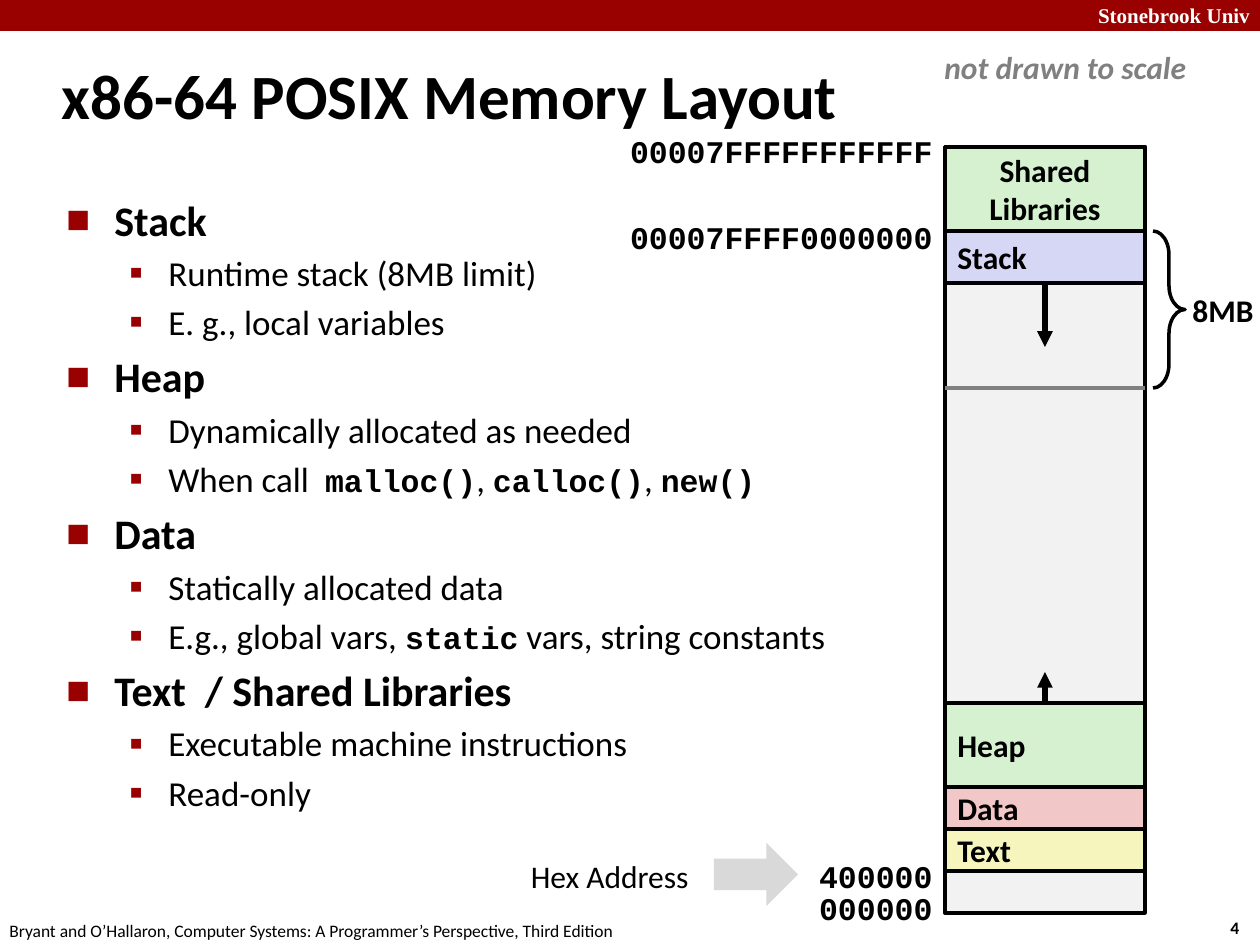
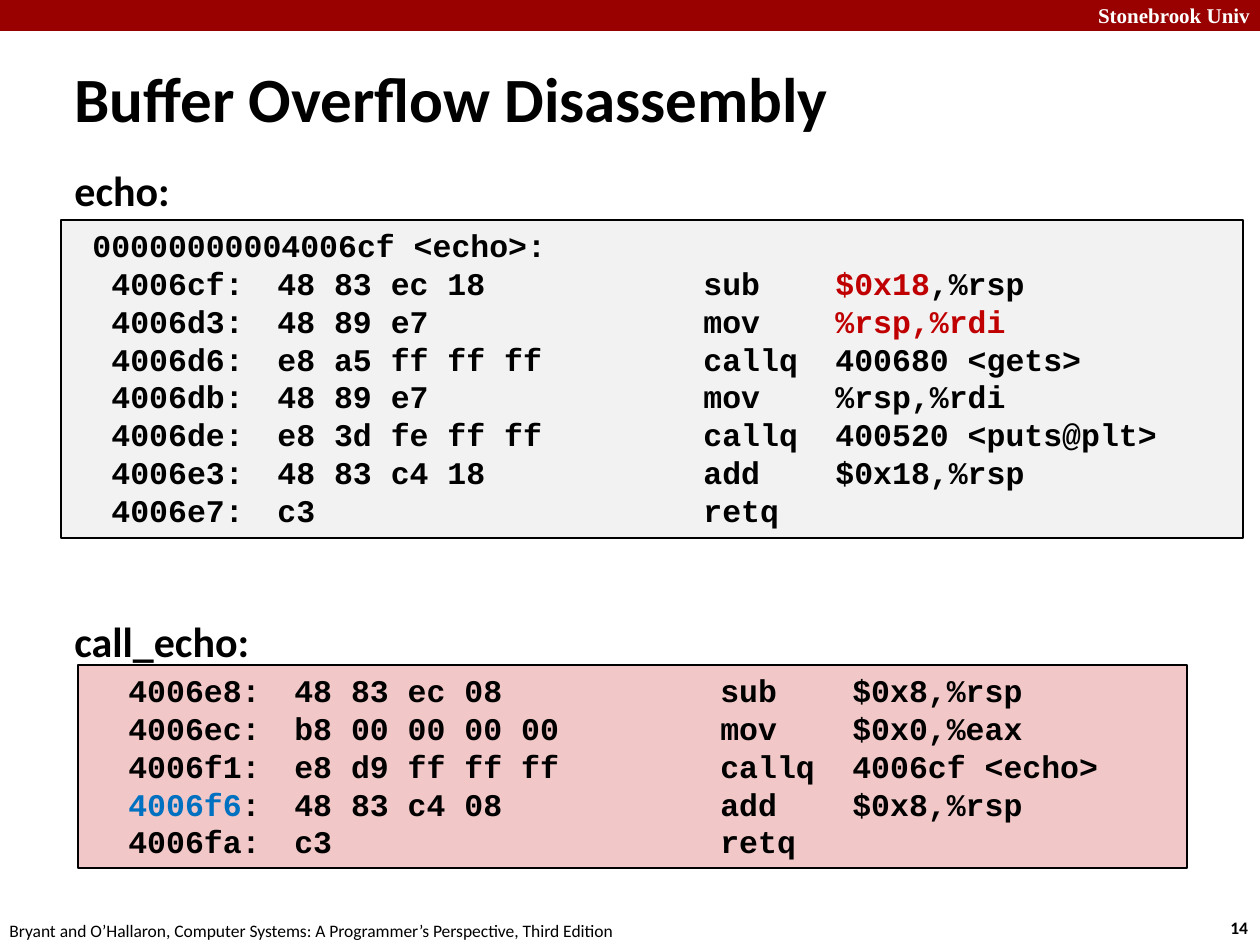
from pptx import Presentation
from pptx.dml.color import RGBColor
from pptx.enum.shapes import MSO_CONNECTOR, MSO_SHAPE as Shape
from pptx.enum.text import MSO_ANCHOR as Anchor, PP_ALIGN as Align
from pptx.oxml import parse_xml
from pptx.oxml.ns import nsdecls, qn
from pptx.util import Pt

PX = 914400 // 126
COLORS = {
    "ink": "000000", "paper": "FFFFFF", "band": "990000", "gray": "808080",
    "arrow": "D9D9D9", "free": "F2F2F2", "green": "D5F1CF", "violet": "D6D6F5",
    "pink": "F1C7C7", "yellow": "F6F5BD", "red": "C00000", "blue": "0070C0",
}
TITLE = {"name": "Calibri", "size": Pt(36), "bold": True}
HEADING = {"name": "Calibri", "size": Pt(24), "bold": True}
DETAIL = {"name": "Calibri", "size": Pt(20), "bold": False}
LABEL = {"name": "Calibri", "size": Pt(18), "bold": True}
PLAIN = LABEL | {"bold": False}
CODE = {"name": "Courier New", "size": Pt(18), "bold": True}
FOOTER = {"name": "Calibri", "size": Pt(10), "bold": False}
BRAND = {"name": "Times New Roman", "size": Pt(12), "bold": True, "color": "paper"}
NOTE = LABEL | {"italic": True, "color": "gray"}


def add_block(page, kind, at, fill=None, line=None, weight=2):
    """Add a preset shape, or a text box when kind is None."""
    place = [length * PX for length in at]
    if kind is None:
        box = page.shapes.add_textbox(*place)
        box.text_frame.word_wrap = False
        return box
    box = page.shapes.add_shape(kind, *place)
    box.shadow.inherit = False
    if fill:
        box.fill.solid()
        box.fill.fore_color.rgb = RGBColor.from_string(COLORS[fill])
    else:
        box.fill.background()
    if line:
        box.line.color.rgb = RGBColor.from_string(COLORS[line])
        box.line.width = Pt(weight)
    else:
        box.line.fill.background()
    return box


def write(para, text, style, marked=None, align=Align.LEFT):
    """Write text in a style; pieces between backticks also take the marked style."""
    para.alignment = align
    for index, piece in enumerate(text.split("`")):
        if not piece:
            continue
        span = para.add_run()
        span.text = piece
        look = {"color": "ink"} | style | (marked if index % 2 else {})
        span.font.color.rgb = RGBColor.from_string(COLORS[look.pop("color")])
        for name, value in look.items():
            setattr(span.font, name, value)


deck = Presentation()
deck.slide_width, deck.slide_height = 1260 * PX, 945 * PX
layout = deck.slide_layouts[5]
pages = []
for title, at, number in [
    ("x86-64 POSIX Memory Layout", (49, 42, 1046, 105), "4"),
    ("Buffer Overflow Disassembly", (62, 58, 978, 79), "14"),
]:
    page = deck.slides.add_slide(layout)
    heading = page.shapes.title
    heading.left, heading.top, heading.width, heading.height = [n * PX for n in at]
    heading.text_frame.vertical_anchor = Anchor.MIDDLE
    write(heading.text_frame.paragraphs[0], title, TITLE)
    box = add_block(page, None, (1218, 911, 47, 34))
    write(box.text_frame.paragraphs[0], number, FOOTER | {"bold": True})
    pages.append(page)
memory, listing = pages

# Band and footer belong to the layout, so both slides show them
band = add_block(memory, Shape.RECTANGLE, (0, 0, 1260, 31), "band")
school = add_block(memory, None, (1080, -4, 180, 38))
school.text_frame.margin_right = 10 * PX
write(school.text_frame.paragraphs[0], "Stonebrook Univ", BRAND, align=Align.RIGHT)
source = add_block(memory, None, (-3, 914, 640, 34))
write(source.text_frame.paragraphs[0],
      "Bryant and O’Hallaron, Computer Systems: A Programmer’s Perspective, Third Edition",
      FOOTER)
for part in (band, school, source):
    layout.shapes.element.append(part.element)

# Memory regions explained
regions = [
    ("Stack", "Runtime stack (8MB limit)", "E. g., local variables"),
    ("Heap", "Dynamically allocated as needed",
     "When call  `malloc()`, `calloc()`, `new()`"),
    ("Data", "Statically allocated data",
     "E.g., global vars, `static` vars, string constants"),
    ("Text  / Shared Libraries", "Executable machine instructions", "Read-only"),
]
bullets = [
    {"style": HEADING, "margin": 48, "hang": 48, "size": 60, "mark": "■"},
    {"style": DETAIL, "margin": 102, "hang": 39, "size": 110, "mark": "▪"},
]
frame = add_block(memory, None, (54, 188, 1089, 685)).text_frame
frame.word_wrap = True
para = frame.paragraphs[0]
for region in regions:
    for row, text in enumerate(region):
        if para.runs:
            para = frame.add_paragraph()
        level = min(row, 1)
        bullet = bullets[level]
        write(para, text, bullet["style"], CODE)
        para.level = level
        props = para._p.get_or_add_pPr()
        props.set("marL", str(bullet["margin"] * PX))
        props.set("indent", str(-bullet["hang"] * PX))
        for xml in (
            '<a:spcBef {}><a:spcPct val="20000"/></a:spcBef>',
            f'<a:buClr {{}}><a:srgbClr val="{COLORS["band"]}"/></a:buClr>',
            f'<a:buSzPct {{}} val="{bullet["size"] * 1000}"/>',
            '<a:buFont {} typeface="Calibri"/>',
            f'<a:buChar {{}} char="{bullet["mark"]}"/>',
        ):
            props.append(parse_xml(xml.format(nsdecls("a"))))

# Memory column
left, width = 945, 200
middle = left + width // 2
for text, top, height, fill, align in [
    ("", 147, 766, "free", Align.LEFT),
    ("Stack", 231, 52, "violet", Align.LEFT),
    ("Text", 829, 42, "yellow", Align.LEFT),
    ("Data", 787, 42, "pink", Align.LEFT),
    ("Heap", 703, 84, "green", Align.LEFT),
    ("Shared\nLibraries", 147, 84, "green", Align.CENTER),
]:
    box = add_block(memory, Shape.RECTANGLE, (left, top, width, height), fill, "ink")
    frame = box.text_frame
    frame.vertical_anchor = Anchor.MIDDLE
    for index, line in enumerate(text.splitlines()):
        para = frame.add_paragraph() if index else frame.paragraphs[0]
        write(para, line, LABEL, align=align)

for start, end, color, weight, arrow in [
    ((middle, 283), (middle, 347), "ink", 3, True),
    ((middle, 703), (middle, 672), "ink", 3, True),
    ((left, 388), (left + width, 388), "gray", 2, False),
]:
    line = memory.shapes.add_connector(
        MSO_CONNECTOR.STRAIGHT, *[n * PX for n in start + end])
    line.line.color.rgb = RGBColor.from_string(COLORS[color])
    line.line.width = Pt(weight)
    props = line.element.spPr
    if arrow:
        props.find(qn("a:ln")).append(
            parse_xml(f'<a:tailEnd {nsdecls("a")} type="triangle"/>'))
    props.append(parse_xml(f'<a:effectLst {nsdecls("a")}/>'))

add_block(memory, Shape.RIGHT_ARROW, (714, 843, 84, 63), "arrow")
brace = add_block(memory, Shape.RIGHT_BRACE, (1153, 231, 32, 157), line="ink")
brace.adjustments[0], brace.adjustments[1] = 0.75, 0.5

for page, text, at, style, align in [
    (memory, "Hex Address", (407, 851, 294, 50), PLAIN, Align.RIGHT),
    (memory, "00007FFFFFFFFFFF", (614, 126, 331, 50), CODE, Align.RIGHT),
    (memory, "00007FFFF0000000", (614, 212, 331, 50), CODE, Align.RIGHT),
    (memory, "400000", (805, 851, 140, 50), CODE, Align.RIGHT),
    (memory, "000000", (805, 883, 140, 50), CODE, Align.RIGHT),
    (memory, "8MB", (1180, 285, 87, 50), LABEL, Align.LEFT),
    (memory, "not drawn to scale", (932, 42, 268, 50), NOTE, Align.LEFT),
    (listing, "echo:", (62, 158, 122, 63), HEADING, Align.LEFT),
    (listing, "call_echo:", (62, 609, 203, 63), HEADING, Align.LEFT),
]:
    box = add_block(page, None, at)
    write(box.text_frame.paragraphs[0], text, style, align=align)

# Disassembly: the columns are header, address, bytes, operation, operands
columns = [19, 38, 204, 630, 762]
stops = "".join(f'<a:tab pos="{stop * PX}" algn="l"/>' for stop in columns)
echo = [
    "\t00000000004006cf <echo>:",
    "\t\t4006cf:\t48 83 ec 18\tsub\t`$0x18`,%rsp",
    "\t\t4006d3:\t48 89 e7\tmov\t`%rsp,%rdi`",
    "\t\t4006d6:\te8 a5 ff ff ff\tcallq\t400680 <gets>",
    "\t\t4006db:\t48 89 e7\tmov\t%rsp,%rdi",
    "\t\t4006de:\te8 3d fe ff ff\tcallq\t400520 <puts@plt>",
    "\t\t4006e3:\t48 83 c4 18\tadd\t$0x18,%rsp",
    "\t\t4006e7:\tc3\tretq",
]
call_echo = [
    "\t\t4006e8:\t48 83 ec 08\tsub\t$0x8,%rsp",
    "\t\t4006ec:\tb8 00 00 00 00\tmov\t$0x0,%eax",
    "\t\t4006f1:\te8 d9 ff ff ff\tcallq\t4006cf <echo>",
    "\t\t`4006f6`:\t48 83 c4 08\tadd\t$0x8,%rsp",
    "\t\t4006fa:\tc3\tretq",
]
for lines, at, fill, mark in [
    (echo, (61, 220, 1182, 318), "free", "red"),
    (call_echo, (78, 665, 1109, 203), "pink", "blue"),
]:
    frame = add_block(listing, Shape.RECTANGLE, at, fill, "ink", 1).text_frame
    frame.vertical_anchor = Anchor.TOP
    for index, line in enumerate(lines):
        para = frame.add_paragraph() if index else frame.paragraphs[0]
        write(para, line, CODE, {"color": mark})
        para.line_spacing = Pt(21.6)
        para._p.get_or_add_pPr().append(
            parse_xml(f'<a:tabLst {nsdecls("a")}>{stops}</a:tabLst>'))

deck.save("out.pptx")
